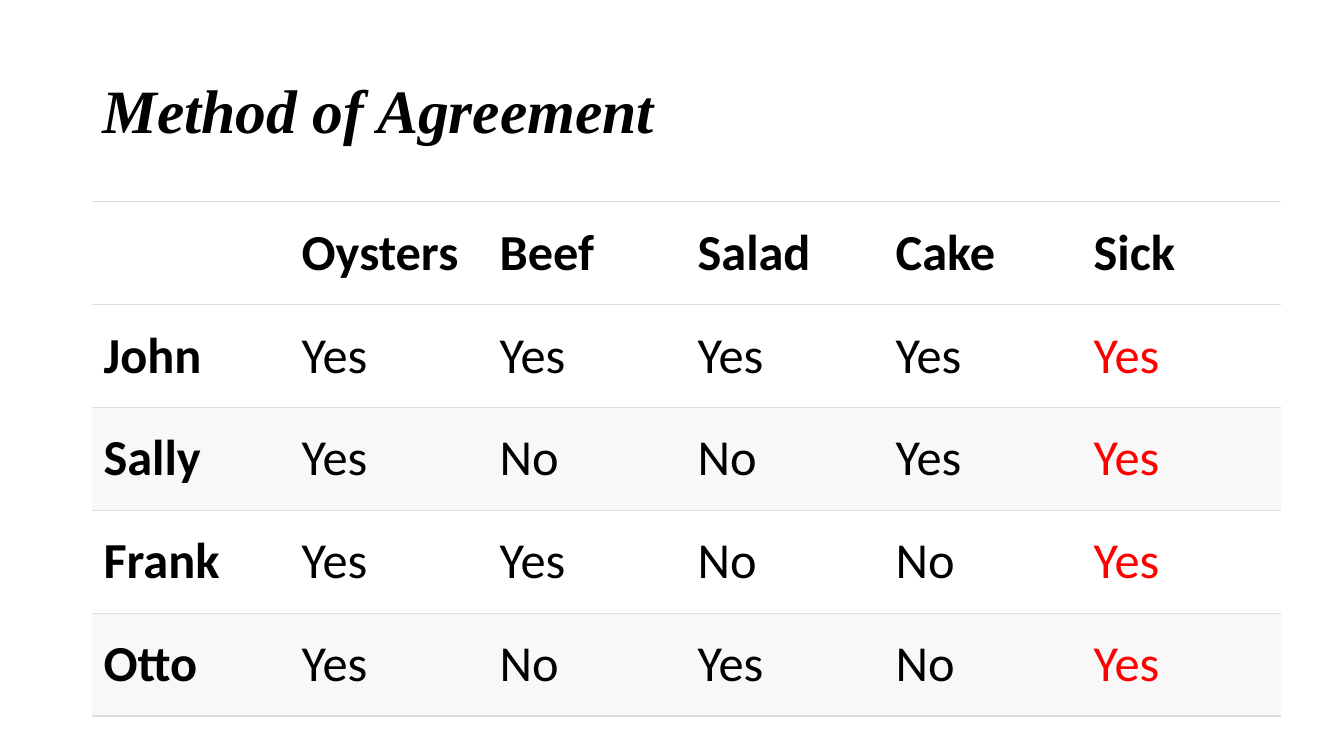
from dataclasses import dataclass

from lxml.etree import SubElement
from pptx import Presentation
from pptx.dml.color import RGBColor as Color
from pptx.enum.text import MSO_ANCHOR as Anchor
from pptx.oxml.ns import qn
from pptx.util import Pt


@dataclass(frozen=True)
class Theme:
    ink: str = "000000"
    outcome: str = "FF0000"
    plain_row: str = "FFFFFF"
    shaded_row: str = "F8F8F8"
    rule: str = "DDDDDD"
    title_font: str = "Times New Roman"
    table_font: str = "Calibri"
    title_size: int = 44
    table_size: int = 36


THEME = Theme()

MEALS = [
    ["", "Oysters", "Beef", "Salad", "Cake", "Sick"],
    ["John", "Yes", "Yes", "Yes", "Yes", "Yes"],
    ["Sally", "Yes", "No", "No", "Yes", "Yes"],
    ["Frank", "Yes", "Yes", "No", "No", "Yes"],
    ["Otto", "Yes", "No", "Yes", "No", "Yes"],
]


def set_all(target, values):
    for name, value in values.items():
        setattr(target, name, value)


def write(para, text, color, **font):
    span = para.add_run()
    span.text = text
    set_all(span.font, font)
    span.font.color.rgb = Color.from_string(color)


def add_border(cell, side, width):
    line = SubElement(cell._tc.get_or_add_tcPr(), qn(f"a:ln{side}"), w=str(Pt(width)))
    if width:
        fill = SubElement(line, qn("a:solidFill"))
        SubElement(fill, qn("a:srgbClr"), val=THEME.rule)
    else:
        SubElement(line, qn("a:noFill"))


def add_title(page, box, text):
    frame = page.shapes.add_textbox(*map(Pt, box)).text_frame
    set_all(frame, {"word_wrap": True, "vertical_anchor": Anchor.MIDDLE})
    para = frame.paragraphs[0]
    para.line_spacing = 0.9
    write(para, text, THEME.ink, name=THEME.title_font,
          size=Pt(THEME.title_size), bold=True, italic=True)


def add_meal_table(page, box, rows):
    row_count, column_count = len(rows), len(rows[0])
    table = page.shapes.add_table(row_count, column_count, *map(Pt, box)).table
    for column in table.columns:
        column.width = Pt(box[2] / column_count)
    for row in table.rows:
        row.height = Pt(box[3] / row_count)

    cell_format = {
        "vertical_anchor": Anchor.MIDDLE,
        "margin_left": Pt(8),
        "margin_right": Pt(8),
        "margin_top": Pt(3.75),
        "margin_bottom": Pt(3.75),
    }
    for r, values in enumerate(rows):
        shaded = r > 0 and r % 2 == 0
        bottom = 1.2 if r == row_count - 1 else 0.6
        for c, text in enumerate(values):
            cell = table.cell(r, c)
            set_all(cell, cell_format)
            for side, width in {"L": 0, "R": 0, "T": 0.6, "B": bottom}.items():
                add_border(cell, side, width)
            cell.fill.solid()
            cell.fill.fore_color.rgb = Color.from_string(
                THEME.shaded_row if shaded else THEME.plain_row)
            if text:
                heading = r == 0 or c == 0
                sick = not heading and c == column_count - 1
                write(cell.text_frame.paragraphs[0], text,
                      THEME.outcome if sick else THEME.ink,
                      name=THEME.table_font, size=Pt(THEME.table_size), bold=heading)


def main():
    deck = Presentation()
    set_all(deck, {"slide_width": Pt(960), "slide_height": Pt(540)})
    page = deck.slides.add_slide(deck.slide_layouts[6])
    add_title(page, (66, 28.75, 828, 104.4), "Method of Agreement")
    add_meal_table(page, (66, 144, 848.7, 367.5), MEALS)
    deck.save("out.pptx")


if __name__ == "__main__":
    main()
